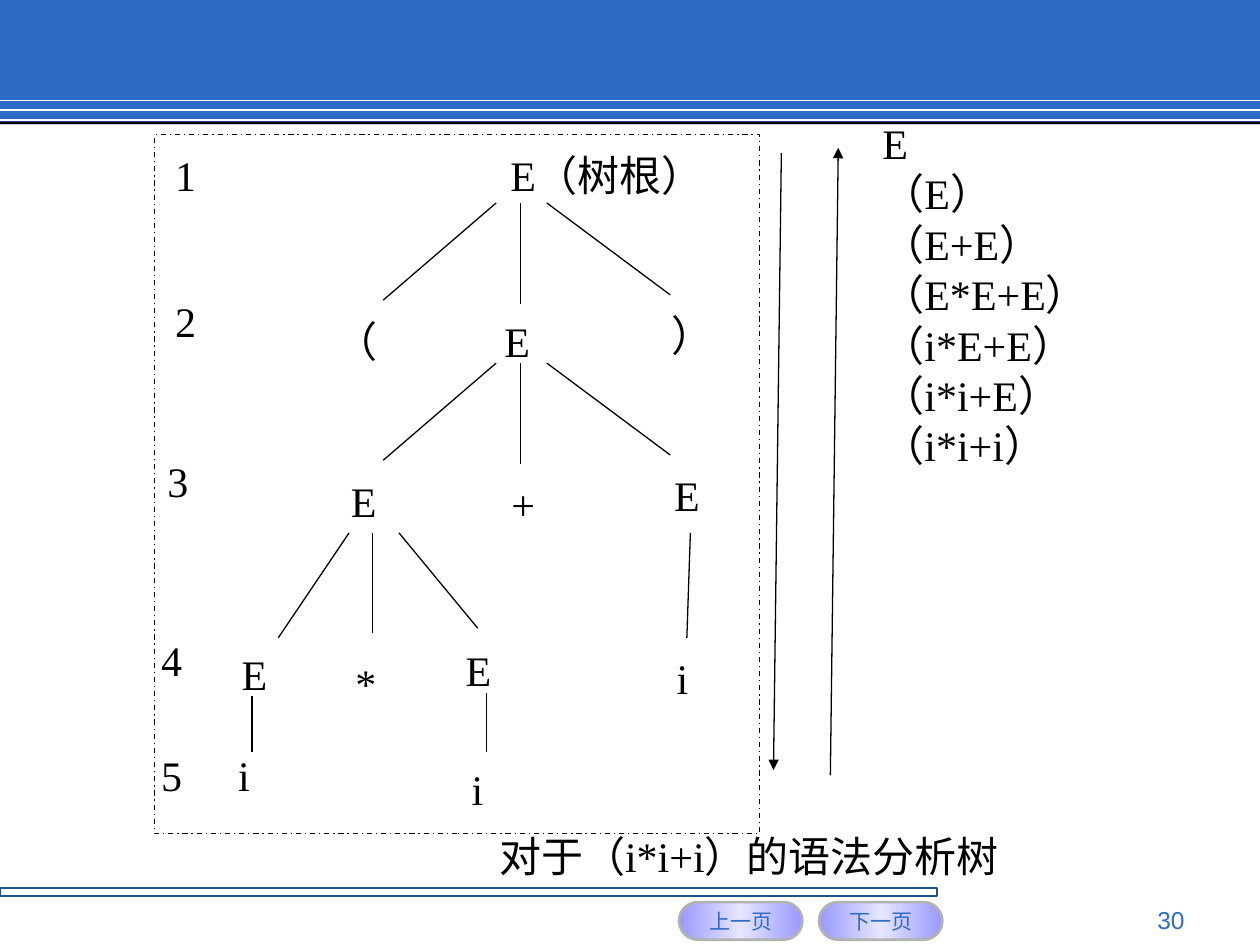
from dataclasses import dataclass

from lxml import etree
from pptx import Presentation
from pptx.dml.color import RGBColor
from pptx.enum import dml, shapes, text
from pptx.oxml import ns
from pptx.util import Pt


@dataclass(frozen=True)
class Theme:
    """Colours, fonts and sizes of the deck."""
    blue: str = "2D6BC7"
    navy: str = "1D528D"
    black: str = "000000"
    white: str = "FFFFFF"
    lilac: str = "9999FF"
    pale: str = "E6E6FF"
    grey: str = "B2B2B2"
    serif: str = "Times New Roman"
    sans: str = "Arial"
    body: int = 24
    button: int = 12
    number: int = 14
    thin: float = 0.75


THEME = Theme()
ALIGN = text.PP_ALIGN


def colour(code):
    """Turn a hex code into a colour."""
    return RGBColor.from_string(code)


def write(frame, lines, align=ALIGN.JUSTIFY, font=THEME.serif, size=THEME.body,
          ink=THEME.black, wrap=True, anchor=text.MSO_ANCHOR.TOP):
    """Fill a text frame with one formatted paragraph per line."""
    frame.word_wrap = wrap
    frame.auto_size = text.MSO_AUTO_SIZE.NONE
    frame.vertical_anchor = anchor
    for index, line in enumerate(lines):
        para = frame.add_paragraph() if index else frame.paragraphs[0]
        para.alignment = align
        para.space_before = Pt(0)
        span = para.add_run()
        span.text = line
        span.font.name = font
        span.font.size = Pt(size)
        span.font.color.rgb = colour(ink)


def add_label(page, box, line, **style):
    """Add a text box holding one line."""
    label = page.shapes.add_textbox(*map(Pt, box))
    write(label.text_frame, [line], **style)


def add_line(page, start, end, ink=THEME.black, width=THEME.thin, arrow=False):
    """Draw a straight line, with an arrowhead at its end if asked."""
    line = page.shapes.add_connector(
        shapes.MSO_CONNECTOR.STRAIGHT, *map(Pt, start + end))
    line.line.color.rgb = colour(ink)
    line.line.width = Pt(width)
    props = line._element.spPr
    etree.SubElement(props, ns.qn("a:effectLst"))
    if arrow:
        etree.SubElement(line.line._get_or_add_ln(), ns.qn("a:tailEnd"), type="triangle")


def add_box(page, box, fill=None, ink=None, width=THEME.thin,
            kind=shapes.MSO_SHAPE.RECTANGLE):
    """Add a preset shape with a plain fill and outline."""
    shape = page.shapes.add_shape(kind, *map(Pt, box))
    shape.shadow.inherit = False
    if fill:
        shape.fill.solid()
        shape.fill.fore_color.rgb = colour(fill)
    else:
        shape.fill.background()
    if ink:
        shape.line.color.rgb = colour(ink)
        shape.line.width = Pt(width)
    else:
        shape.line.fill.background()
    return shape


def add_header(page, box):
    """Draw the blue band with its white stripes and black edge."""
    left, top, width, height = box
    add_box(page, box, THEME.blue)
    for offset in (57.5, 63, 68.5):
        add_line(page, (left, top + offset), (left + width, top + offset), THEME.white, 1)
    add_box(page, (left, top + height - 1.5, width, 1.5), THEME.black)


def add_button(page, box, line):
    """Draw a rounded button with a horizontal gradient."""
    button = add_box(page, box, THEME.lilac, THEME.grey, 1.5,
                     shapes.MSO_SHAPE.ROUNDED_RECTANGLE)
    button.adjustments[0] = 0.5
    button.fill.gradient()
    button.fill.gradient_angle = 0
    stops = button.fill._fill._gradFill.gsLst
    for stop in list(stops):
        stops.remove(stop)
    for place, code in ((0, THEME.lilac), (50000, THEME.pale), (100000, THEME.lilac)):
        stop = etree.SubElement(stops, ns.qn("a:gs"), pos=str(place))
        etree.SubElement(stop, ns.qn("a:srgbClr"), val=code)
    write(button.text_frame, [line], ALIGN.CENTER, THEME.sans, THEME.button,
          THEME.blue, wrap=False, anchor=text.MSO_ANCHOR.MIDDLE)


def add_footer(page, box):
    """Draw the footer rule, the two buttons and the page number."""
    left, top, width, height = box
    add_box(page, (left, top, 535.5, 4.5), ink=THEME.navy)
    for index, line in enumerate(("上一页", "下一页")):
        add_button(page, (left + 388 + 80 * index, top + 8, 70.5, 21.5), line)
    add_label(page, (left + 516, top + 6, 168, 19.5), "30", align=ALIGN.RIGHT,
              font=THEME.sans, size=THEME.number, ink=THEME.blue)


def add_tree(page, box):
    """Draw the parse tree with its level numbers inside a dashed frame."""
    left, top, width, height = box
    nodes = [
        ("E（树根）", 196, 5, 144), ("（", 96, 99.5, 58), ("E", 105, 191, 58),
        ("E", 42.5, 290, 58), ("*", 107.5, 295, 58), ("E", 170.5, 287.5, 57),
        ("i", 40.5, 348, 55), ("i", 174, 355.5, 44), ("i", 291, 292.5, 35),
    ]
    centred = [("E", 165, 99.5), ("）", 265.5, 96.5), ("+", 168.5, 193), ("E", 262, 188)]
    levels = [(4.5, 5), (4.5, 88.5), (0, 180), (-3.5, 282), (-3.5, 348)]
    nodes += [(str(number), x, y, 57) for number, (x, y) in enumerate(levels, 1)]
    for line, x, y, wide in nodes:
        add_label(page, (left + x, top + y, wide, 44.5), line)
    for line, x, y in centred:
        add_label(page, (left + x, top + y, 84, 44.5), line, align=ALIGN.CENTER)

    fan = [(195, 39, 130.5, 94.5), (209, 39, 209, 96.5), (224, 39, 294.5, 91.5)]
    branches = [(x1, y1 + drop, x2, y2 + drop)
                for drop in (0, 91.5) for x1, y1, x2, y2 in fan]
    branches += [
        (111, 227.5, 70.5, 287.5), (124.5, 227.5, 124.5, 284.5),
        (139.5, 227.5, 184.5, 282), (306, 227.5, 304, 287.5),
        (55.5, 321, 55.5, 353), (189.5, 319, 189.5, 353),
    ]
    for x1, y1, x2, y2 in branches:
        add_line(page, (left + x1, top + y1), (left + x2, top + y2))
    frame = add_box(page, box, ink=THEME.black)
    frame.line.dash_style = dml.MSO_LINE.DASH_DOT


def place(holder, box):
    """Move a placeholder to a box."""
    holder.left, holder.top, holder.width, holder.height = map(Pt, box)


def add_derivation(page, box):
    """Place the derivation steps beside a downward and an upward arrow."""
    left, top, width, height = box
    add_line(page, (left + 4.5, top + 24), (left, top + 376.5), arrow=True)
    add_line(page, (left + 32.5, top + 379.5), (left + 37, top + 21), arrow=True)
    steps = page.placeholders[1]
    place(steps, (left + 55, top, width - 55, height))
    write(steps.text_frame, ["E"] + [
        f"（{form}）" for form in ("E", "E+E", "E*E+E", "i*E+E", "i*i+E", "i*i+i")])
    for para in steps.text_frame.paragraphs:
        props = para._p.get_or_add_pPr()
        props.set("marL", "0")
        props.set("indent", "0")
        etree.SubElement(props, ns.qn("a:buNone"))


def add_caption(page, box):
    """Use the title as the caption of the tree."""
    place(page.shapes.title, box)
    write(page.shapes.title.text_frame, ["对于（i*i+i）的语法分析树"])


def main():
    """Build the slide and save the deck."""
    deck = Presentation()
    deck.slide_width, deck.slide_height = Pt(720), Pt(540)
    page = deck.slides.add_slide(deck.slide_layouts[1])
    add_header(page, (0, 0, 720, 71))
    add_footer(page, (0, 507.5, 720, 32.5))
    add_tree(page, (88.5, 77, 345.5, 399.5))
    add_derivation(page, (442, 63.5, 238, 399.5))
    add_caption(page, (278, 471, 416, 44.5))
    deck.save("out.pptx")


if __name__ == "__main__":
    main()
